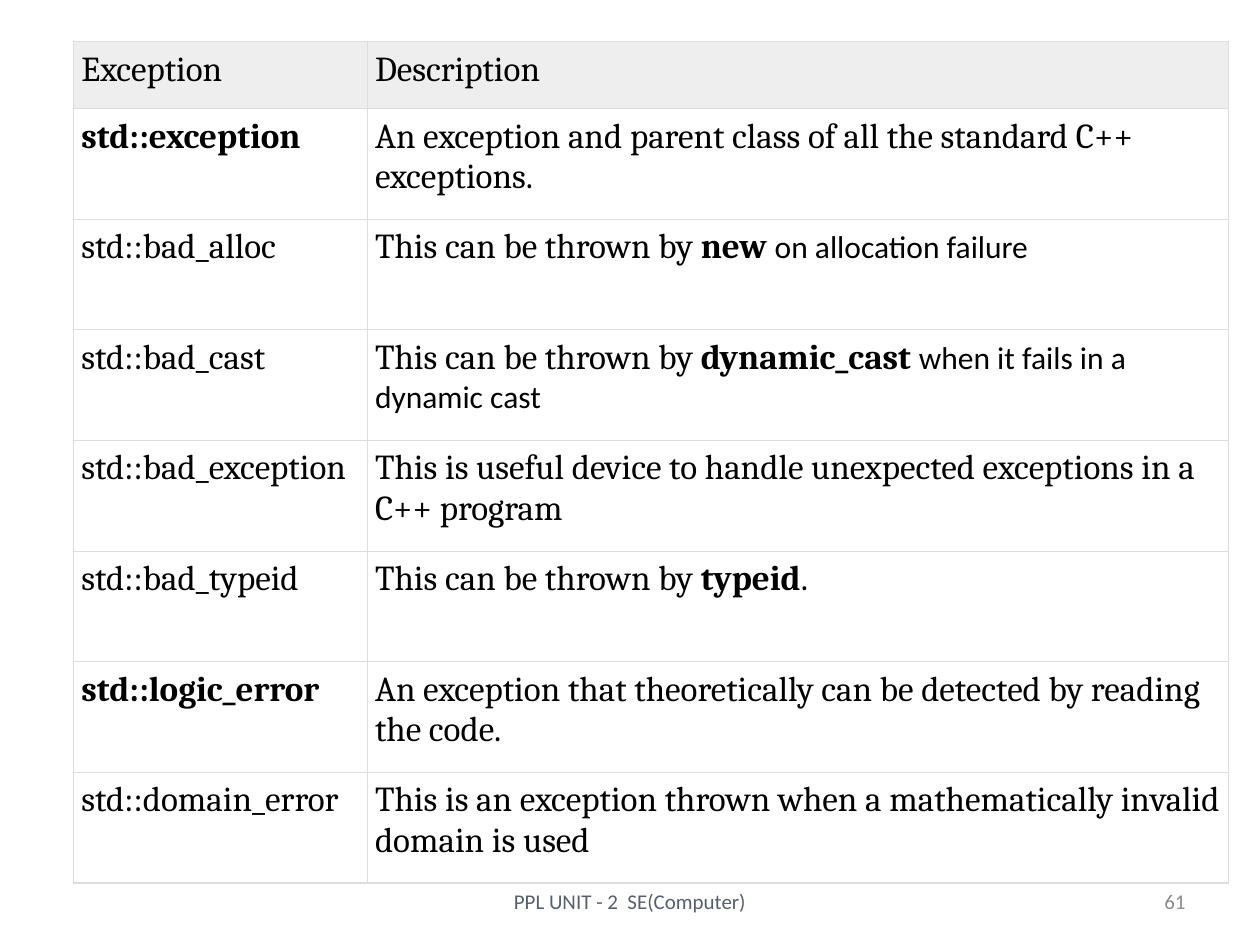
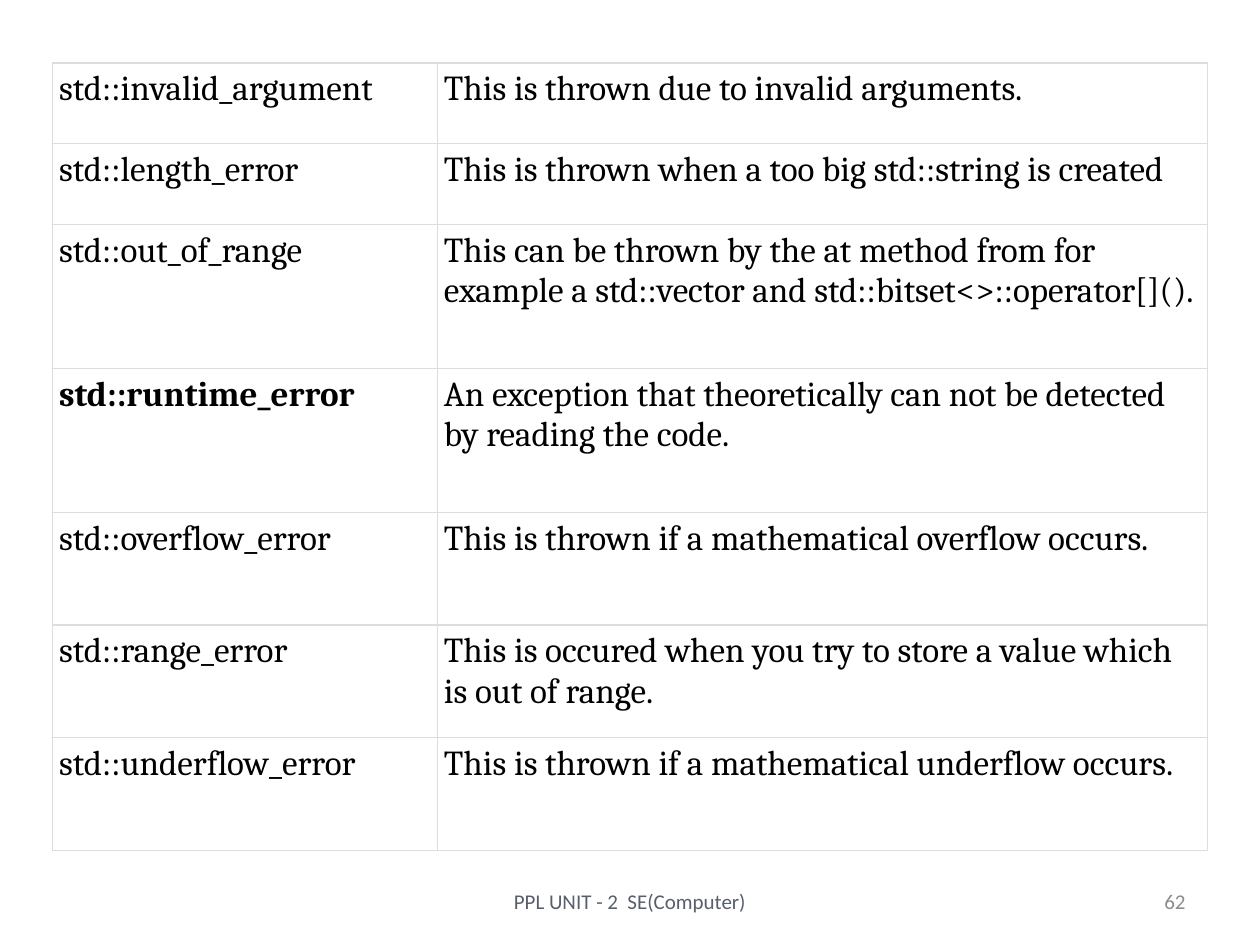
from dataclasses import dataclass
from typing import NamedTuple

from lxml.etree import SubElement
from pptx import Presentation
from pptx.dml.color import RGBColor
from pptx.enum.text import MSO_ANCHOR, PP_ALIGN
from pptx.oxml.ns import qn
from pptx.slide import Slide
from pptx.table import _Cell as Cell
from pptx.text.text import Font
from pptx.util import Cm, Pt


class Style(NamedTuple):
    face: str
    size: int
    ink: str
    bold: bool = False


@dataclass(frozen=True)
class Theme:
    body: Style = Style("Cambria", 20, "000000")
    strong: Style = Style("Cambria", 20, "000000", True)
    plain: Style = Style("Calibri", 18, "000000")
    foot: Style = Style("Calibri", 12, "575F6D")
    number: Style = Style("Calibri", 12, "8C8C8C")
    head: str = "EEEEEE"
    rule: str = "DDDDDD"
    weight: float = 0.75


THEME = Theme()


class Span(NamedTuple):
    text: str
    style: Style = THEME.body


class Row(NamedTuple):
    height: float
    name: Span
    note: tuple[Span, ...]
    fill: str | None = None


@dataclass(frozen=True)
class Grid:
    left: float
    top: float
    widths: tuple[float, float]
    inset: float
    rows: tuple[Row, ...]


@dataclass(frozen=True)
class Label:
    left: float
    width: float
    align: PP_ALIGN
    style: Style
    top: float = 17.66
    height: float = 1.01


FOOT = Label(8.68, 8.04, PP_ALIGN.CENTER, THEME.foot)
NUMBER = Label(18.22, 5.93, PP_ALIGN.RIGHT, THEME.number)
FIRST = 61


def row(height: float, name: str, *note: str | Span, strong: bool = False,
        fill: str | None = None) -> Row:
    spans = tuple(Span(part) if isinstance(part, str) else part for part in note)
    return Row(height, Span(name, THEME.strong if strong else THEME.body), spans, fill)


TALL = 2.23
BASE = Grid(1.48, 0.84, (5.92, 17.36), 0.16, (
    row(1.35, "Exception", "Description", fill=THEME.head),
    row(TALL, "std::exception",
        "An exception and parent class of all the standard C++ exceptions.", strong=True),
    row(TALL, "std::bad_alloc", "This can be thrown by ", Span("new ", THEME.strong),
        Span("on allocation failure", THEME.plain)),
    row(TALL, "std::bad_cast", "This can be thrown by ", Span("dynamic_cast ", THEME.strong),
        Span("when it fails in a dynamic cast", THEME.plain)),
    row(TALL, "std::bad_exception",
        "This is useful device to handle unexpected exceptions in a C++ program"),
    row(TALL, "std::bad_typeid", "This can be thrown by ", Span("typeid", THEME.strong), "."),
    row(TALL, "std::logic_error",
        "An exception that theoretically can be detected by reading the code.", strong=True),
    row(TALL, "std::domain_error",
        "This is an exception thrown when a mathematically invalid domain is used"),
))

SHORT, MID, HIGH = 1.63, 2.27, 2.9
MORE = Grid(1.06, 1.27, (7.76, 15.52), 0.13, (
    row(SHORT, "std::invalid_argument", "This is thrown due to invalid arguments."),
    row(SHORT, "std::length_error", "This is thrown when a too big std::string is created"),
    row(HIGH, "std::out_of_range",
        "This can be thrown by the at method from for example a std::vector "
        "and std::bitset<>::operator[]()."),
    row(HIGH, "std::runtime_error",
        "An exception that theoretically can not be detected by reading the code.", strong=True),
    row(MID, "std::overflow_error", "This is thrown if a mathematical overflow occurs."),
    row(MID, "std::range_error",
        "This is occured when you try to store a value which is out of range."),
    row(MID, "std::underflow_error", "This is thrown if a mathematical underflow occurs."),
))


def paint(font: Font, style: Style) -> None:
    font.name = style.face
    font.size = Pt(style.size)
    font.bold = style.bold
    font.color.rgb = RGBColor.from_string(style.ink)


def border(cell: Cell) -> None:
    props = cell._tc.get_or_add_tcPr()
    for side in ("a:lnL", "a:lnR", "a:lnT", "a:lnB"):
        line = SubElement(props, qn(side), w=str(Pt(THEME.weight)))
        fill = SubElement(line, qn("a:solidFill"))
        SubElement(fill, qn("a:srgbClr"), val=THEME.rule)


def write(cell: Cell, spans: tuple[Span, ...], inset: float, fill: str | None) -> None:
    cell.margin_left = cell.margin_right = Cm(inset)
    cell.margin_top = cell.margin_bottom = Cm(inset)
    border(cell)
    if fill:
        cell.fill.solid()
        cell.fill.fore_color.rgb = RGBColor.from_string(fill)
    else:
        cell.fill.background()
    para = cell.text_frame.paragraphs[0]
    para.alignment = PP_ALIGN.LEFT
    same = len({span.style for span in spans}) == 1
    if same:
        paint(para.font, spans[0].style)
    for span in spans:
        run = para.add_run()
        run.text = span.text
        if not same:
            paint(run.font, span.style)


def draw_grid(slide: Slide, grid: Grid) -> None:
    height = sum(item.height for item in grid.rows)
    table = slide.shapes.add_table(
        len(grid.rows), len(grid.widths), Cm(grid.left), Cm(grid.top),
        Cm(sum(grid.widths)), Cm(height)).table
    table.first_row = table.horz_banding = False
    for column, width in zip(table.columns, grid.widths):
        column.width = Cm(width)
    for line, item in zip(table.rows, grid.rows):
        line.height = Cm(item.height)
        for cell, spans in zip(line.cells, ((item.name,), item.note)):
            write(cell, spans, grid.inset, item.fill)


def draw_label(slide: Slide, label: Label, text: str) -> None:
    box = slide.shapes.add_textbox(
        Cm(label.left), Cm(label.top), Cm(label.width), Cm(label.height))
    frame = box.text_frame
    frame.word_wrap = True
    frame.vertical_anchor = MSO_ANCHOR.MIDDLE
    para = frame.paragraphs[0]
    para.text = text
    para.alignment = label.align
    paint(para.font, label.style)


def main() -> None:
    deck = Presentation()
    deck.slide_width, deck.slide_height = Cm(25.4), Cm(19.05)
    blank = deck.slide_layouts.get_by_name("Blank")
    for number, grid in enumerate((BASE, MORE), start=FIRST):
        slide = deck.slides.add_slide(blank)
        draw_label(slide, FOOT, "PPL UNIT - 2  SE(Computer)")
        draw_label(slide, NUMBER, str(number))
        draw_grid(slide, grid)
    deck.save("out.pptx")


if __name__ == "__main__":
    main()
